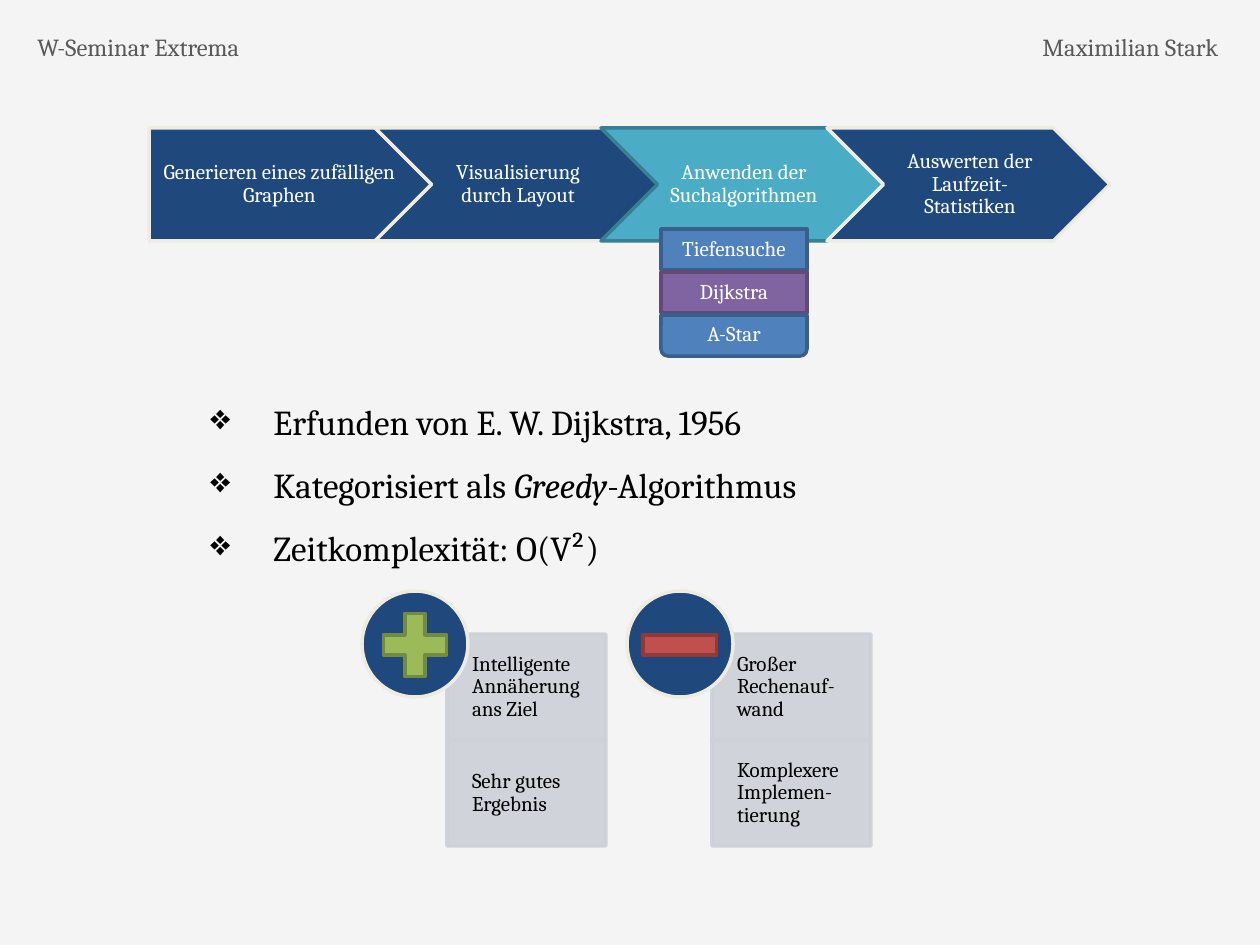
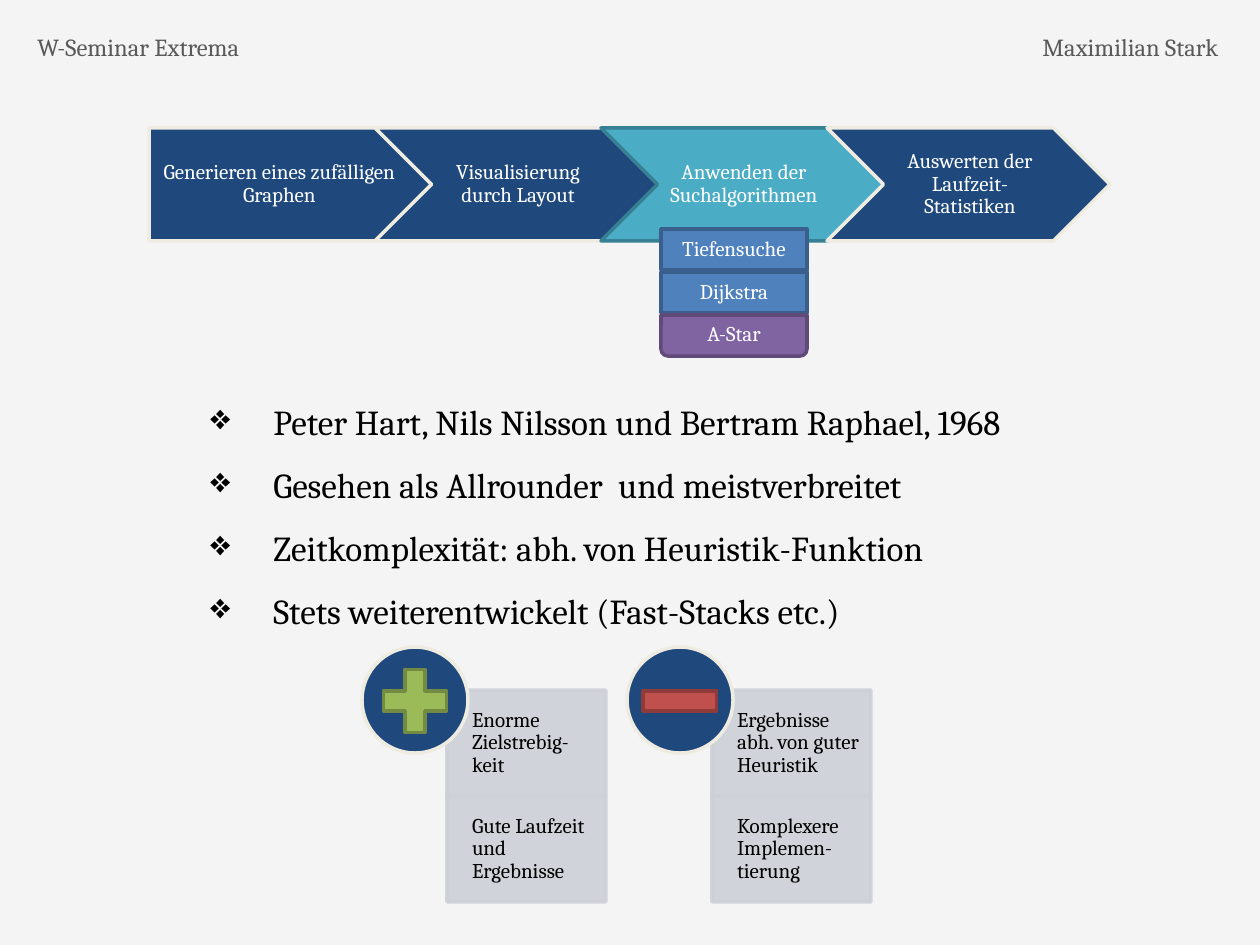
"""Build two slides on search algorithms with a shared process band."""
from lxml.etree import SubElement
from pptx import Presentation
from pptx.dml.color import RGBColor
from pptx.enum.shapes import MSO_SHAPE
from pptx.enum.text import MSO_ANCHOR, PP_ALIGN
from pptx.oxml.ns import qn
from pptx.util import Emu, Pt

SCALE = 914400 / 126
FONT = "Cambria"
PAPER = RGBColor(0xF4, 0xF4, 0xF4)
GREY = RGBColor(0x59, 0x59, 0x59)
BLACK = RGBColor(0, 0, 0)
WHITE = RGBColor(0xFF, 0xFF, 0xFF)
CARD = RGBColor(0xCD, 0xD0, 0xD7)
NAVY = (RGBColor(0x1F, 0x49, 0x7D), RGBColor(0xEE, 0xEC, 0xE1))
TEAL = (RGBColor(0x4B, 0xAC, 0xC6), RGBColor(0x37, 0x7F, 0x92))
BLUE = (RGBColor(0x4F, 0x81, 0xBD), RGBColor(0x3A, 0x5F, 0x8C))
PURPLE = (RGBColor(0x80, 0x64, 0xA2), RGBColor(0x5F, 0x4A, 0x78))
GREEN = (RGBColor(0x9B, 0xBB, 0x59), RGBColor(0x73, 0x8A, 0x42))
RED = (RGBColor(0xC0, 0x50, 0x4D), RGBColor(0x8E, 0x3B, 0x39))

HEADS = [
    ("W-Seminar Extrema", 25, 243, PP_ALIGN.LEFT),
    ("Maximilian Stark", 1022, 209, PP_ALIGN.RIGHT),
]
STEPS = [
    "Generieren eines zufälligen Graphen",
    "Visualisierung durch Layout",
    "Anwenden der Suchalgorithmen",
    "Auswerten der Laufzeit-Statistiken",
]
ACTIVE = "Anwenden der Suchalgorithmen"
METHODS = ["Tiefensuche", "Dijkstra", "A-Star"]
SIGNS = [(MSO_SHAPE.MATH_PLUS, GREEN, 86), (MSO_SHAPE.MATH_MINUS, RED, 100)]
SLIDES = [
    {
        "method": "Dijkstra",
        "facts": [
            "Erfunden von E. W. Dijkstra, 1956",
            "Kategorisiert als *Greedy*-Algorithmus",
            "Zeitkomplexität: O(V²)",
        ],
        "cards": [
            ["Intelligente Annäherung ans Ziel", "Sehr gutes Ergebnis"],
            ["Großer Rechenauf-wand", "Komplexere Implemen-tierung"],
        ],
        "top": 634,
    },
    {
        "method": "A-Star",
        "facts": [
            "Peter Hart, Nils Nilsson und Bertram Raphael, 1968",
            "Gesehen als Allrounder  und meistverbreitet",
            "Zeitkomplexität: abh. von Heuristik-Funktion",
            "Stets weiterentwickelt (Fast-Stacks etc.)",
        ],
        "cards": [
            ["Enorme Zielstrebig-keit", "Gute Laufzeit und Ergebnisse"],
            ["Ergebnisse abh. von guter Heuristik", "Komplexere Implemen-tierung"],
        ],
        "top": 690,
    },
]


def px(*nums):
    return [Emu(round(n * SCALE)) for n in nums]


def style(para, size, color):
    for run in para.runs:
        run.font.name = FONT
        run.font.size = Pt(size)
        run.font.color.rgb = color


def add_shape(slide, kind, box, colors):
    shape = slide.shapes.add_shape(kind, *px(*box))
    shape.shadow.inherit = False
    shape.fill.solid()
    shape.fill.fore_color.rgb, shape.line.color.rgb = colors
    shape.line.width = Pt(2)
    return shape


def label(shape, text, insets, color=WHITE, align=PP_ALIGN.CENTER):
    frame = shape.text_frame
    frame.text = text
    frame.word_wrap = True
    frame.vertical_anchor = MSO_ANCHOR.MIDDLE
    (frame.margin_left, frame.margin_top,
     frame.margin_right, frame.margin_bottom) = px(*insets)
    para = frame.paragraphs[0]
    para.alignment = align
    para.line_spacing = 0.9
    style(para, 12, color)


def add_heads(slide):
    for text, left, width, align in HEADS:
        frame = slide.shapes.add_textbox(*px(left, 26, width, 43)).text_frame
        frame.text = text
        frame.word_wrap = False
        frame.paragraphs[0].alignment = align
        style(frame.paragraphs[0], 14, GREY)


def add_steps(slide):
    for i, step in enumerate(STEPS):
        kind = MSO_SHAPE.CHEVRON if i else MSO_SHAPE.PENTAGON
        colors = TEAL if step == ACTIVE else NAVY
        shape = add_shape(slide, kind, (149 + 226 * i, 128, 283, 113), colors)
        label(shape, step, (6 if i else 9, 5, 3, 5))


def add_facts(slide, facts):
    box = (198, 373, 927, 15 + 63 * len(facts))
    frame = slide.shapes.add_textbox(*px(*box)).text_frame
    frame.word_wrap = True
    for i, fact in enumerate(facts):
        para = frame.add_paragraph() if i else frame.paragraphs[0]
        para.line_spacing = 1.5
        for j, part in enumerate(fact.split("*")):
            run = para.add_run()
            run.text = part
            run.font.italic = j % 2 == 1
        style(para, 20, BLACK)
        props = para._p.get_or_add_pPr()
        props.set("marL", "457200")
        props.set("indent", "-457200")
        SubElement(props, qn("a:buChar"), char="❖")


def add_methods(slide, active):
    for i, name in enumerate(METHODS):
        last = i == len(METHODS) - 1
        kind = MSO_SHAPE.ROUND_2_SAME_RECTANGLE if last else MSO_SHAPE.RECTANGLE
        colors = PURPLE if name == active else BLUE
        shape = add_shape(slide, kind, (661, 229 + 43 * i, 146, 41), colors)
        if last:
            shape.adjustments[0] = 0
            shape.adjustments[1] = 0.17
        label(shape, name, (8, 4, 8, 4))


def add_cards(slide, columns, top):
    disc = 106
    for i, (texts, (kind, colors, width)) in enumerate(zip(columns, SIGNS)):
        left = 447 + 265 * i
        for j, text in enumerate(texts):
            card = add_shape(slide, MSO_SHAPE.RECTANGLE,
                             (left, top + 106 * j, 159, 106), (CARD, CARD))
            for tone in card._element.spPr.iter(qn("a:srgbClr")):
                SubElement(tone, qn("a:alpha"), val="90000")
            label(card, text, (25, 11, 11, 11), BLACK, PP_ALIGN.LEFT)
        x, y = left - 85, top - 43
        add_shape(slide, MSO_SHAPE.OVAL, (x, y, disc, disc), NAVY)
        sign = (x + (disc - width) // 2, y + 11, width, 86)
        add_shape(slide, kind, sign, colors)


def main():
    prs = Presentation()
    prs.slide_width, prs.slide_height = px(1260, 945)
    fill = prs.slide_master.background.fill
    fill.solid()
    fill.fore_color.rgb = PAPER
    for data in SLIDES:
        slide = prs.slides.add_slide(prs.slide_layouts[6])
        add_heads(slide)
        add_steps(slide)
        add_facts(slide, data["facts"])
        add_methods(slide, data["method"])
        add_cards(slide, data["cards"], data["top"])
    prs.save("out.pptx")


if __name__ == "__main__":
    main()
